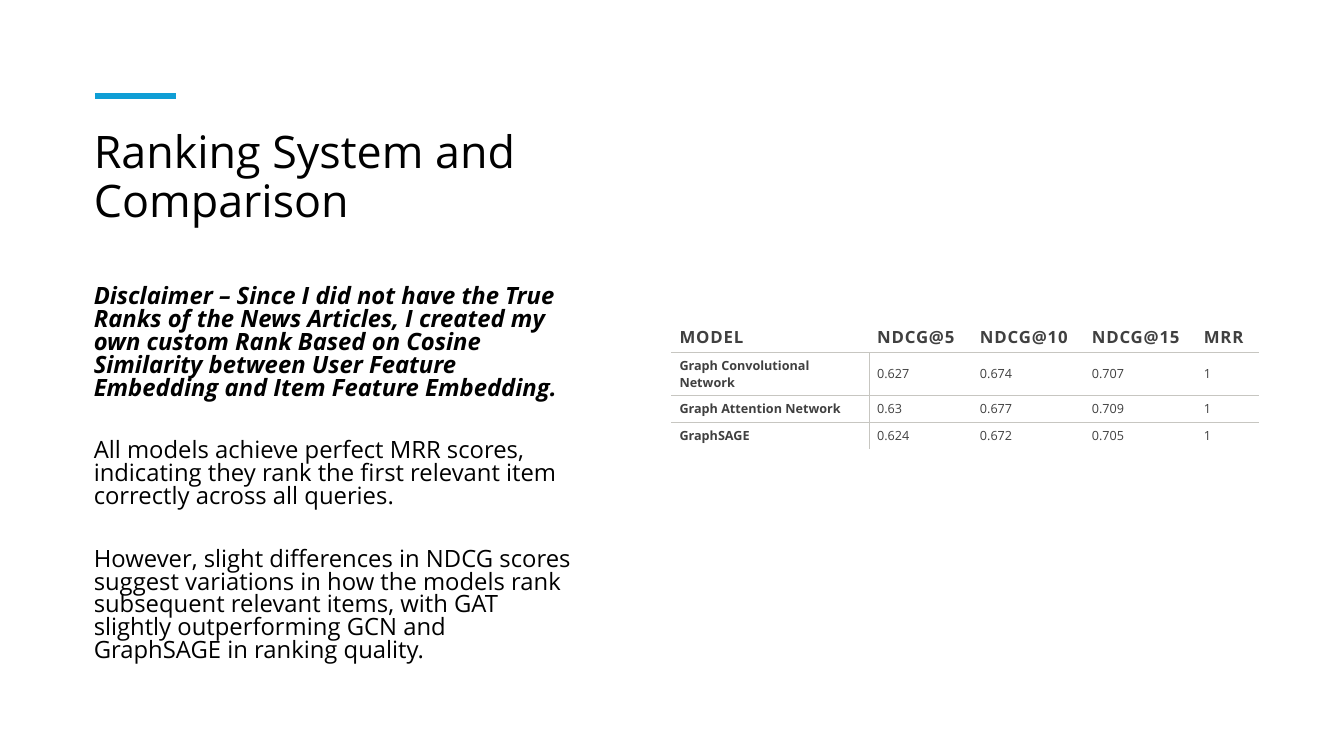
from lxml import etree
from pptx import Presentation
from pptx.dml.color import RGBColor
from pptx.enum.text import MSO_ANCHOR as Anchor, MSO_AUTO_SIZE as Fit, PP_ALIGN as Align
from pptx.oxml.ns import qn
from pptx.util import Inches, Pt

FONT = "Open Sans"
BLACK, GREY, RULE, BLUE = "000000", "404040", "C7C6C1", "0F9ED5"

TITLE = "Ranking System and Comparison"
NOTES = [
    "Disclaimer – Since I did not have the True Ranks of the News Articles, "
    "I created my own custom Rank Based on Cosine Similarity between User "
    "Feature Embedding and Item Feature Embedding.",
    "All models achieve perfect MRR scores, indicating they rank the first "
    "relevant item correctly across all queries.",
    "However, slight differences in NDCG scores suggest variations in how the "
    "models rank subsequent relevant items, with GAT slightly outperforming "
    "GCN and GraphSAGE in ranking quality.",
]
SCORES = [
    ("MODEL", "NDCG@5", "NDCG@10", "NDCG@15", "MRR"),
    ("Graph Convolutional Network", "0.627", "0.674", "0.707", "1"),
    ("Graph Attention Network", "0.63", "0.677", "0.709", "1"),
    ("GraphSAGE", "0.624", "0.672", "0.705", "1"),
]
WIDTHS = (1.96, 1.02, 1.11, 1.11, 0.63)
HEIGHTS = (0.32, 0.42, 0.27, 0.27)


def color(code):
    return RGBColor.from_string(code)


def style(par, size, code, bold=False, italic=False):
    font = par.font
    font.name, font.size = FONT, Pt(size)
    font.bold, font.italic = bold, italic
    font.color.rgb = color(code)


def place(shape, left, top, width, height):
    shape.left, shape.top = Inches(left), Inches(top)
    shape.width, shape.height = Inches(width), Inches(height)
    frame = shape.text_frame
    frame.word_wrap, frame.auto_size = True, Fit.NONE
    frame.vertical_anchor = Anchor.TOP
    return frame


def border(cell, sides):
    """Draw the named sides and hide the others."""
    props = cell._tc.get_or_add_tcPr()
    for spot, side in enumerate("LRTB"):
        line = etree.Element(qn(f"a:ln{side}"), w=str(Pt(0.75)))
        if side in sides:
            fill = etree.SubElement(line, qn("a:solidFill"))
            etree.SubElement(fill, qn("a:srgbClr"), val=RULE)
        else:
            etree.SubElement(line, qn("a:noFill"))
        props.insert(spot, line)


deck = Presentation()
deck.slide_width, deck.slide_height = Inches(13.33), Inches(7.5)
slide = deck.slides.add_slide(deck.slide_layouts[1])
title, body = slide.placeholders

# Title
frame = place(title, 0.83, 1.24, 4.97, 1.53)
frame.text = TITLE
par = frame.paragraphs[0]
par.alignment, par.line_spacing = Align.LEFT, 0.9
style(par, 32, BLACK)

# Accent bar
bar = slide.shapes.add_connector(1, Inches(0.94), Inches(0.95), Inches(1.75), Inches(0.95))
bar.line.color.rgb, bar.line.width = color(BLUE), Pt(4.5)
etree.SubElement(bar._element.spPr, qn("a:effectLst"))

# Notes, with the disclaimer in bold italics
frame = place(body, 0.83, 2.79, 4.97, 3.94)
frame.text = "\n".join(NOTES)
for i, par in enumerate(frame.paragraphs):
    style(par, 17, BLACK, bold=i == 0, italic=i == 0)
    par.line_spacing = 0.8
    par.space_before, par.space_after = Pt(0), Pt(28.5)
    props = par._p.get_or_add_pPr()
    props.set("marL", "0")
    props.set("indent", "0")
    etree.SubElement(props, qn("a:buNone"))
    props.append(props.find(qn("a:defRPr")))

# Score table
grid = slide.shapes.add_table(
    len(SCORES), len(WIDTHS), Inches(6.66), Inches(3.18),
    Inches(sum(WIDTHS)), Inches(sum(HEIGHTS))).table
grid.horz_banding = grid.first_row = False
for col, width in zip(grid.columns, WIDTHS):
    col.width = Inches(width)
for r, (row, height) in enumerate(zip(SCORES, HEIGHTS)):
    grid.rows[r].height = Inches(height)
    for c, text in enumerate(row):
        cell = grid.cell(r, c)
        cell.text = text
        cell.vertical_anchor = Anchor.MIDDLE
        cell.margin_left, cell.margin_right = Inches(0.08), Inches(0.06)
        cell.margin_top = cell.margin_bottom = Inches(0.04)
        cell.fill.background()
        par = cell.text_frame.paragraphs[0]
        style(par, 9 if r else 12, GREY, bold=r == 0 or c == 0)
        if r == 0:
            par.runs[0].font._element.set("spc", "60")
        sides = "T" if r else ""
        sides += "B" if r < len(SCORES) - 1 else ""
        sides += "R" if r and c == 0 else "L" if r and c == 1 else ""
        border(cell, sides)

deck.save("out.pptx")
